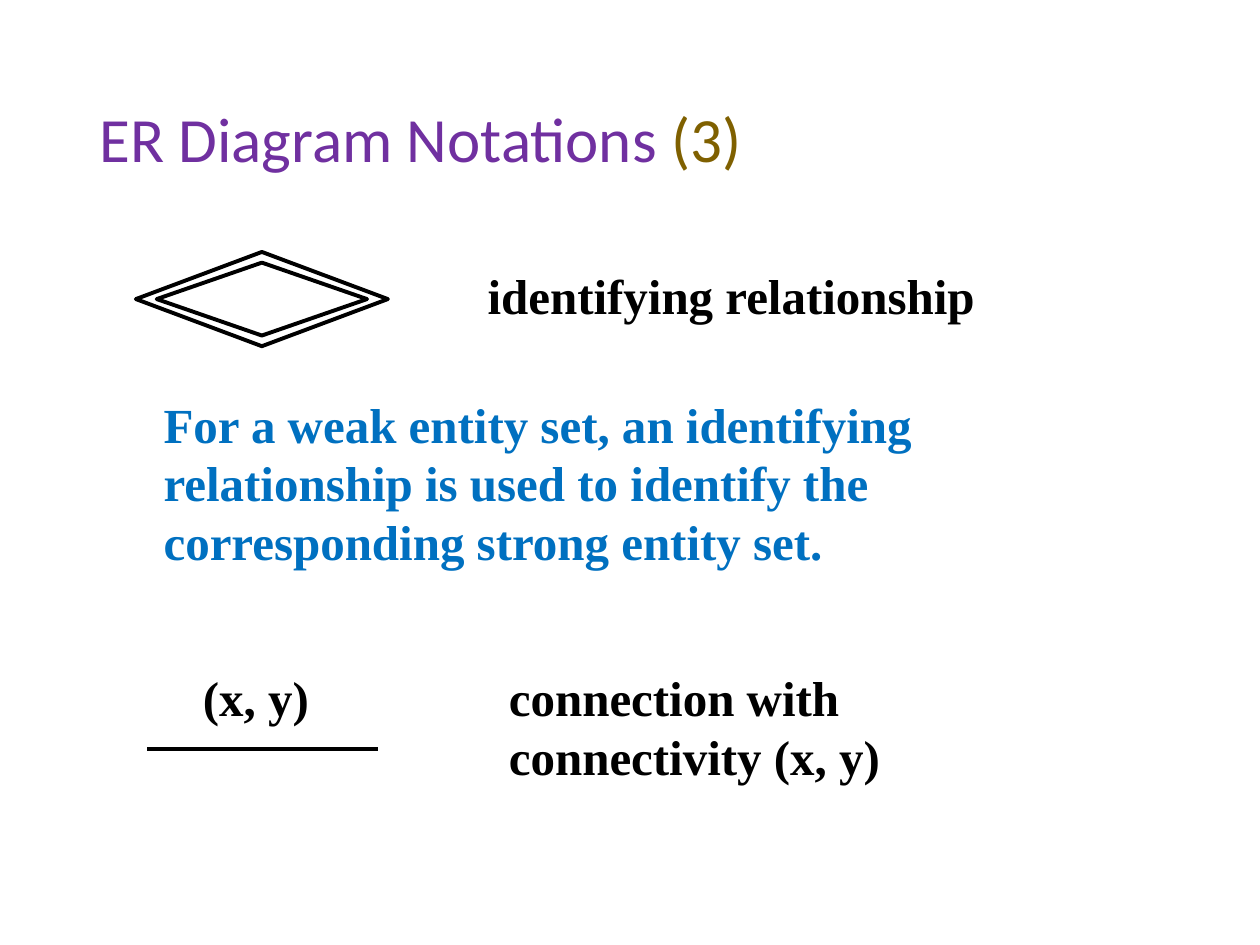
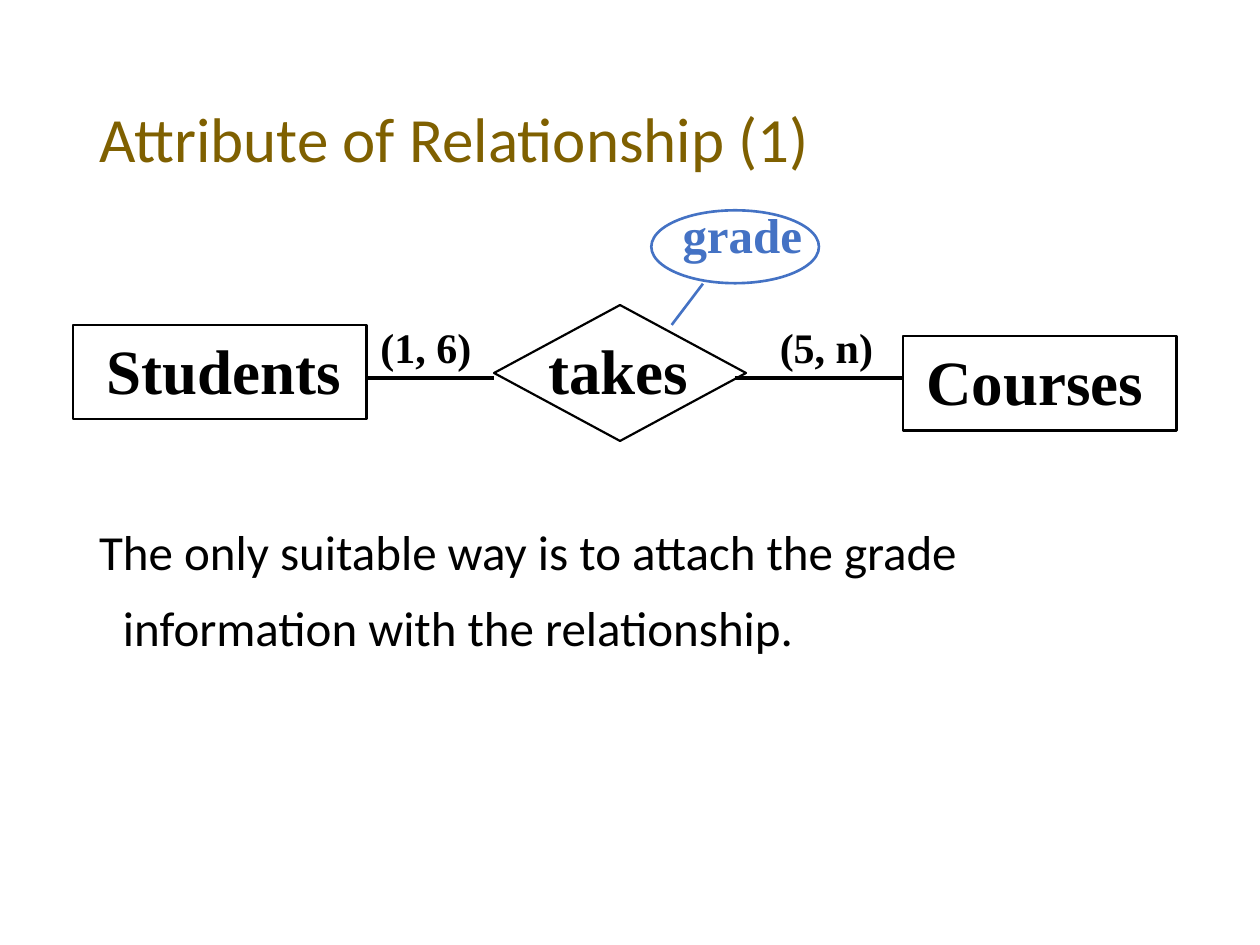
"""Build two slides on ER diagram notations and relationship attributes."""
from pptx import Presentation
from pptx.dml.color import RGBColor
from pptx.enum.shapes import MSO_CONNECTOR, MSO_SHAPE
from pptx.enum.text import MSO_ANCHOR, MSO_AUTO_SIZE, PP_ALIGN
from pptx.oxml.ns import qn
from pptx.util import Cm, Pt
from lxml import etree

STRAIGHT = MSO_CONNECTOR.STRAIGHT
DIAMOND, RECTANGLE, OVAL = MSO_SHAPE.DIAMOND, MSO_SHAPE.RECTANGLE, MSO_SHAPE.OVAL
LEFT, MIDDLE = PP_ALIGN.LEFT, MSO_ANCHOR.MIDDLE
NO_FIT = MSO_AUTO_SIZE.NONE
TITLE_ONLY = 5

COLORS = {"black": "000000", "purple": "7030A0", "brown": "7F6000",
          "blue": "0070C0", "attribute": "4472C4"}
SANS, SERIF = "Calibri", "Times New Roman"
TITLE_AREA = (1.75, 1.02, 21.92, 3.68)
BODY_AREA = (1.75, 10.03, 21.92, 7.1)

NOTATION_TITLE = [("ER Diagram Notations ", "purple"), ("(3)", "brown")]
NOTATION_TEXTS = [
    (["identifying relationship"], (9.58, 5.23, 10.34, 1.45), "black"),
    (["(x, y)"], (3.84, 13.34, 2.64, 1.45), "black"),
    (["connection with", "connectivity (x, y)"], (10.01, 13.34, 7.98, 2.64), "black"),
    (["For a weak entity set, an identifying",
      "relationship is used to identify the",
      "corresponding strong entity set."], (3.05, 7.82, 15.85, 3.81), "blue"),
]
IDENTIFYING_CENTER = (5.28, 6.03)
IDENTIFYING_SIZES = [(5.08, 1.9), (4.24, 1.47)]
CONNECTION_LINE = (2.97, 15.09, 7.62, 15.09)

ATTRIBUTE_TITLE = [("Attribute of Relationship (1)", "brown")]
ATTRIBUTE_BODY = "The only suitable way is to attach the grade information with the relationship."
DIAGRAM_SHAPES = [
    (DIAMOND, (9.96, 6.15, 5.08, 2.74), "black", 1.25),
    (RECTANGLE, (1.47, 6.55, 5.92, 1.9), "black", 1.25),
    (RECTANGLE, (18.21, 6.78, 5.51, 1.9), "black", 1.25),
    (OVAL, (13.13, 4.24, 3.38, 1.47), "attribute", 1.5),
]
DIAGRAM_LINES = [
    ((7.42, 7.62, 9.96, 7.62), "black", 2.25),
    ((14.81, 7.62, 18.21, 7.62), "black", 2.25),
    ((14.17, 5.72, 13.54, 6.55), "attribute", 1.5),
]
DIAGRAM_TEXTS = [
    ("takes", (10.8, 6.55, 3.33, 1.78), 36, "black"),
    ("Students", (1.9, 6.55, 5.23, 1.78), 36, "black"),
    ("Courses", (18.42, 6.78, 4.88, 1.78), 36, "black"),
    ("(1, 6)", (7.42, 6.35, 2.34, 1.27), 24, "black"),
    ("(5, n)", (15.47, 6.35, 2.39, 1.27), 24, "black"),
    ("grade", (13.51, 3.99, 2.92, 1.45), 28, "attribute"),
]


def color_of(name):
    return RGBColor.from_string(COLORS[name])


def lengths(values):
    return [Cm(value) for value in values]


def add_span(paragraph, text, size, color, font=SERIF, bold=False):
    span = paragraph.add_run()
    span.text = text
    span.font.name, span.font.size, span.font.bold = font, Pt(size), bold
    span.font.color.rgb = color_of(color)


def add_text(page, lines, area, size=28, color="black", font=SERIF, bold=True,
             wrap=False, spacing=None, hanging=0):
    box = page.shapes.add_textbox(*lengths(area))
    frame = box.text_frame
    frame.word_wrap = wrap
    for index, line in enumerate(lines):
        paragraph = frame.add_paragraph() if index else frame.paragraphs[0]
        if spacing:
            paragraph.line_spacing = spacing
        if hanging:
            properties = paragraph._p.get_or_add_pPr()
            properties.set("marL", str(Cm(hanging)))
            properties.set("indent", str(-Cm(hanging)))
        add_span(paragraph, line, size, color, font, bold)


def add_outline(page, kind, area, color="black", width=2.25):
    shape = page.shapes.add_shape(kind, *lengths(area))
    shape.shadow.inherit = False
    shape.fill.background()
    shape.line.color.rgb = color_of(color)
    shape.line.width = Pt(width)


def add_line(page, ends, color="black", width=2.25):
    line = page.shapes.add_connector(STRAIGHT, *lengths(ends))
    line.line.color.rgb = color_of(color)
    line.line.width = Pt(width)
    etree.SubElement(line._element.spPr, qn("a:effectLst"))


def add_page(deck, title_parts):
    page = deck.slides.add_slide(deck.slide_layouts[TITLE_ONLY])
    title = page.shapes.title
    title.left, title.top, title.width, title.height = lengths(TITLE_AREA)
    frame = title.text_frame
    frame.auto_size, frame.vertical_anchor = NO_FIT, MIDDLE
    paragraph = frame.paragraphs[0]
    paragraph.alignment, paragraph.line_spacing = LEFT, 0.9
    for text, color in title_parts:
        add_span(paragraph, text, 36, color, SANS)
    return page


def build_notations(deck):
    page = add_page(deck, NOTATION_TITLE)
    center_x, center_y = IDENTIFYING_CENTER
    for width, height in IDENTIFYING_SIZES:
        add_outline(page, DIAMOND,
                    (center_x - width / 2, center_y - height / 2, width, height))
    add_line(page, CONNECTION_LINE)
    for lines, area, color in NOTATION_TEXTS:
        add_text(page, lines, area, color=color)


def build_attribute(deck):
    page = add_page(deck, ATTRIBUTE_TITLE)
    add_text(page, [ATTRIBUTE_BODY], BODY_AREA, font=SANS, bold=False,
             wrap=True, spacing=1.3, hanging=0.48)
    for kind, area, color, width in DIAGRAM_SHAPES:
        add_outline(page, kind, area, color, width)
    for ends, color, width in DIAGRAM_LINES:
        add_line(page, ends, color, width)
    for text, area, size, color in DIAGRAM_TEXTS:
        add_text(page, [text], area, size, color)


def main():
    deck = Presentation()
    deck.slide_width, deck.slide_height = Cm(25.4), Cm(19.05)
    build_notations(deck)
    build_attribute(deck)
    deck.save("out.pptx")


if __name__ == "__main__":
    main()
